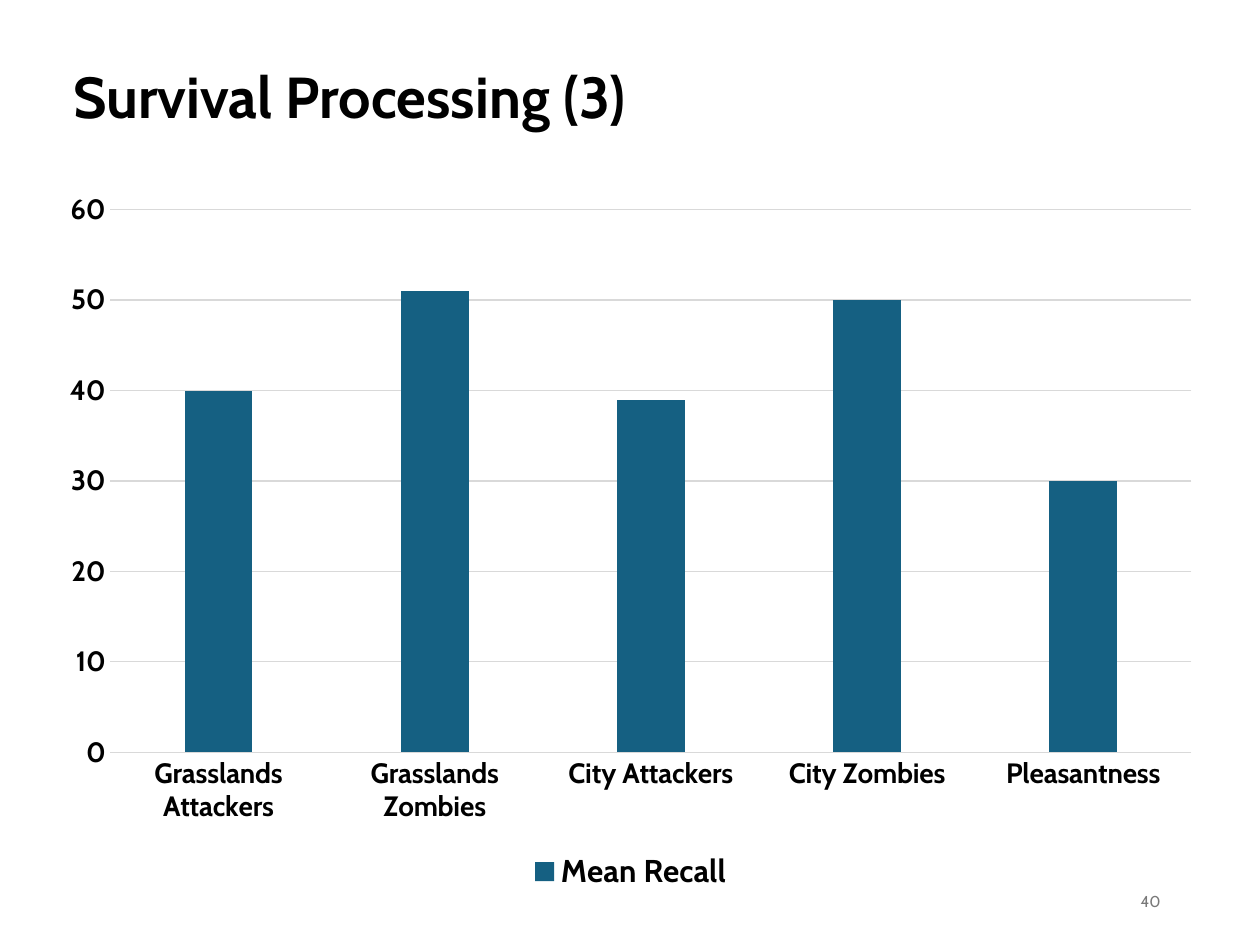
from pptx import Presentation
from pptx.chart.data import CategoryChartData
from pptx.dml.color import RGBColor
from pptx.enum.chart import XL_CHART_TYPE as ChartType
from pptx.enum.chart import XL_LEGEND_POSITION as LegendPosition
from pptx.enum.chart import XL_TICK_MARK as TickMark
from pptx.enum.text import MSO_ANCHOR as Anchor
from pptx.enum.text import PP_ALIGN as Align
from pptx.util import Inches, Pt

COLORS = {"text": "000000", "number": "797979", "bar": "156082", "grid": "D9D9D9"}


def style_font(font, size, color="text", bold=False):
    values = {"name": "Cabin", "size": Pt(size), "bold": bold}
    for name, value in values.items():
        setattr(font, name, value)
    font.color.rgb = RGBColor.from_string(COLORS[color])


def style_line(line):
    line.color.rgb = RGBColor.from_string(COLORS["grid"])
    line.width = Pt(0.75)


deck = Presentation()
deck.slide_width = Inches(10)
deck.slide_height = Inches(7.5)
page = deck.slides.add_slide(deck.slide_layouts[5])

# Title
title = page.shapes.title
title.left, title.top = Inches(0.48), Inches(0.17)
title.width, title.height = Inches(9), Inches(1.25)
title.text_frame.text = "Survival Processing (3)"
title.text_frame.vertical_anchor = Anchor.MIDDLE
para = title.text_frame.paragraphs[0]
para.alignment = Align.LEFT
para.line_spacing = 0.9
style_font(para.runs[0].font, 33, bold=True)

# Recall chart
recall = CategoryChartData()
recall.categories = [
    "Grasslands Attackers",
    "Grasslands Zombies",
    "City Attackers",
    "City Zombies",
    "Pleasantness",
]
recall.add_series("Mean Recall", [40, 51, 39, 50, 30])
chart = page.shapes.add_chart(
    ChartType.COLUMN_CLUSTERED,
    Inches(0.37), Inches(1.42), Inches(9.27), Inches(5.7),
    recall,
).chart
chart.has_title = False
style_font(chart.font, 10)

# Bars
plot = chart.plots[0]
plot.gap_width = 219
plot.overlap = -27
plot.vary_by_categories = False
bar_fill = plot.series[0].format.fill
bar_fill.solid()
bar_fill.fore_color.rgb = RGBColor.from_string(COLORS["bar"])

# Axes
for axis in (chart.category_axis, chart.value_axis):
    axis.major_tick_mark = TickMark.NONE
    axis.minor_tick_mark = TickMark.NONE
    style_font(axis.tick_labels.font, 16, bold=True)
style_line(chart.category_axis.format.line)
value_axis = chart.value_axis
value_axis.minimum_scale = 0
value_axis.maximum_scale = 60
value_axis.major_unit = 10
value_axis.format.line.fill.background()
style_line(value_axis.major_gridlines.format.line)

# Legend
chart.has_legend = True
chart.legend.position = LegendPosition.BOTTOM
chart.legend.include_in_layout = False
style_font(chart.legend.font, 18, bold=True)

# Page number
box = page.shapes.add_textbox(Inches(7.06), Inches(6.95), Inches(2.25), Inches(0.4))
box.text_frame.word_wrap = True
box.text_frame.vertical_anchor = Anchor.MIDDLE
para = box.text_frame.paragraphs[0]
para.alignment = Align.RIGHT
span = para.add_run()
span.text = "40"
style_font(span.font, 9, "number")

deck.save("out.pptx")
